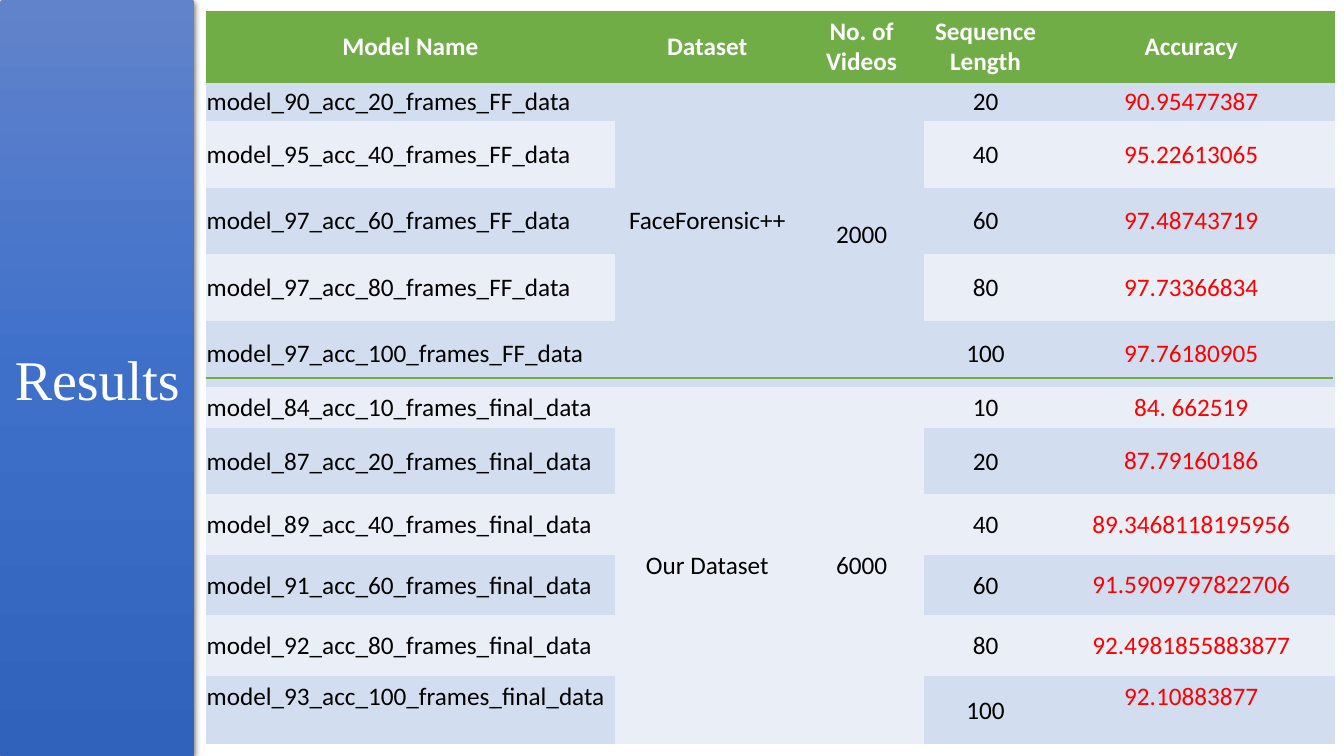
from dataclasses import dataclass

from lxml.etree import fromstring
from pptx import Presentation
from pptx.dml.color import RGBColor as Rgb
from pptx.enum.shapes import MSO_CONNECTOR as Connector, MSO_SHAPE as Shape
from pptx.enum.text import MSO_ANCHOR as Anchor, PP_ALIGN as Align
from pptx.oxml.ns import qn
from pptx.slide import Slide
from pptx.table import Table, _Cell as Cell
from pptx.text.text import TextFrame
from pptx.util import Inches, Pt

NAMESPACE = "http://schemas.openxmlformats.org/drawingml/2006/main"
PLAIN_TABLE_STYLE = "{2D5ABB26-0587-4C30-8999-92F81FD0307C}"


@dataclass(frozen=True)
class Theme:
    green: str = "70AD47"
    white: str = "FFFFFF"
    black: str = "000000"
    red: str = "FF0000"
    bands: tuple[str, str] = ("EAEFF7", "D2DEEF")
    banner: tuple[str, str, str] = ("6183CB", "3E70CA", "3062BB")
    table_font: str = "Calibri"
    title_font: str = "Times New Roman"
    table_size: int = 18
    title_size: int = 40


@dataclass(frozen=True)
class Model:
    score: int
    frames: int
    accuracy: str


@dataclass(frozen=True)
class Dataset:
    name: str
    suffix: str
    videos: str
    models: tuple[Model, ...]


THEME = Theme()
TIGHT = (0.01, 0.01, 0.01, 0)
ROOMY = (0.1, 0.05, 0.1, 0.05)
RAISED = (0.1, 0.05, 0.1, 0.32)
RAISED_TIGHT = (0.01, 0.01, 0.01, 0.28)
HEADERS = ("Model Name", "Dataset", "No. of Videos", "Sequence Length", "Accuracy")
COLUMN_WIDTHS = (4.06, 1.83, 1.23, 1.23, 2.85)
ROW_HEIGHTS = (0.68, 0.38, *[0.66] * 4, 0.39, 0.66, *[0.6] * 3, 0.68)
DATASETS = (
    Dataset("FaceForensic++", "FF_data", "2000", (
        Model(90, 20, "90.95477387"),
        Model(95, 40, "95.22613065"),
        Model(97, 60, "97.48743719"),
        Model(97, 80, "97.73366834"),
        Model(97, 100, "97.76180905"),
    )),
    Dataset("Our Dataset", "final_data", "6000", (
        Model(84, 10, "84. 662519"),
        Model(87, 20, "87.79160186"),
        Model(89, 40, "89.3468118195956"),
        Model(91, 60, "91.5909797822706"),
        Model(92, 80, "92.4981855883877"),
        Model(93, 100, "92.10883877"),
    )),
)


def write_text(frame: TextFrame, text: str, *, color: str, font: str = THEME.table_font,
               size: int = THEME.table_size, bold: bool = False,
               align: Align = Align.CENTER) -> None:
    """Write one formatted line into a text frame."""
    para = frame.paragraphs[0]
    para.alignment = align
    span = para.add_run()
    span.text = text
    span.font.name = font
    span.font.size = Pt(size)
    span.font.bold = bold
    span.font.color.rgb = Rgb.from_string(color)


def fill_cell(cell: Cell, text: str, *, color: str = THEME.black, bold: bool = False,
              align: Align = Align.CENTER,
              insets: tuple[float, ...] = ROOMY) -> None:
    """Place text in a table cell with its insets."""
    cell.vertical_anchor = Anchor.MIDDLE
    cell.margin_left, cell.margin_top, cell.margin_right, cell.margin_bottom = map(Inches, insets)
    write_text(cell.text_frame, text, color=color, bold=bold, align=align)


def fill_dataset(table: Table, dataset: Dataset, first: int, is_last: bool) -> None:
    """Fill the rows of one dataset and merge its shared cells."""
    last = first + len(dataset.models) - 1
    for row, model in enumerate(dataset.models, first):
        ends_table = is_last and row == last
        name = f"model_{model.score}_acc_{model.frames}_frames_{dataset.suffix}"
        accuracy_insets = RAISED if ends_table else ROOMY if is_last else TIGHT
        fill_cell(table.cell(row, 0), name, align=Align.LEFT,
                  insets=RAISED_TIGHT if ends_table else TIGHT)
        fill_cell(table.cell(row, 3), str(model.frames),
                  insets=ROOMY if is_last and row == first else TIGHT)
        fill_cell(table.cell(row, 4), model.accuracy, color=THEME.red, insets=accuracy_insets)
    for column, text in ((1, dataset.name), (2, dataset.videos)):
        table.cell(first, column).merge(table.cell(last, column))
        raised = column == 1 and not is_last
        fill_cell(table.cell(first, column), text, insets=RAISED if raised else ROOMY)


def add_results_table(page: Slide) -> None:
    """Add the table of model accuracies."""
    table = page.shapes.add_table(
        len(ROW_HEIGHTS), len(COLUMN_WIDTHS), Inches(2.04), Inches(0.11),
        Inches(sum(COLUMN_WIDTHS)), Inches(sum(ROW_HEIGHTS))).table
    table.horz_banding = False
    table._tbl.tblPr.find(qn("a:tableStyleId")).text = PLAIN_TABLE_STYLE
    for column, width in zip(table.columns, COLUMN_WIDTHS):
        column.width = Inches(width)
    for index, (row, height) in enumerate(zip(table.rows, ROW_HEIGHTS)):
        row.height = Inches(height)
        for cell in row.cells:
            cell.fill.solid()
            cell.fill.fore_color.rgb = Rgb.from_string(
                THEME.bands[index % 2] if index else THEME.green)
    for column, header in enumerate(HEADERS):
        fill_cell(table.cell(0, column), header, color=THEME.white, bold=True)
    first = 1
    for dataset in DATASETS:
        fill_dataset(table, dataset, first, dataset is DATASETS[-1])
        first += len(dataset.models)


def add_banner(page: Slide) -> None:
    """Add the shaded title banner on the left."""
    banner = page.shapes.add_shape(Shape.ROUNDED_RECTANGLE, 0, 0, Inches(1.93), Inches(7.5))
    banner.adjustments[0] = 0.014
    banner.line.fill.background()
    stops = "".join(f'<a:gs pos="{index * 50000}"><a:srgbClr val="{color}"/></a:gs>'
                    for index, color in enumerate(THEME.banner))
    gradient = fromstring(f'<a:gradFill xmlns:a="{NAMESPACE}"><a:gsLst>{stops}</a:gsLst>'
                          '<a:lin ang="5400000" scaled="0"/></a:gradFill>')
    shadow = fromstring(
        f'<a:effectLst xmlns:a="{NAMESPACE}"><a:outerShdw blurRad="{Pt(4.5)}" dist="{Pt(1.5)}" '
        f'dir="5400000" algn="ctr" rotWithShape="0"><a:srgbClr val="{THEME.black}">'
        '<a:alpha val="63000"/></a:srgbClr></a:outerShdw></a:effectLst>')
    properties = banner._element.spPr
    properties.find(qn("a:prstGeom")).addnext(gradient)
    properties.append(shadow)
    frame = banner.text_frame
    frame.word_wrap = True
    frame.vertical_anchor = Anchor.MIDDLE
    write_text(frame, "Results", color=THEME.white, font=THEME.title_font, size=THEME.title_size)


def add_divider(page: Slide) -> None:
    """Add the green line between the two datasets."""
    divider = page.shapes.add_connector(
        Connector.STRAIGHT, Inches(2.04), Inches(3.75), Inches(13.22), Inches(3.75))
    divider.line.color.rgb = Rgb.from_string(THEME.green)
    divider.line.width = Pt(1.5)
    divider._element.spPr.append(fromstring(f'<a:effectLst xmlns:a="{NAMESPACE}"/>'))


def main() -> None:
    """Build the results slide and save it."""
    deck = Presentation()
    deck.slide_width, deck.slide_height = Inches(13.33), Inches(7.5)
    page = deck.slides.add_slide(deck.slide_layouts[6])
    add_results_table(page)
    add_banner(page)
    add_divider(page)
    deck.save("out.pptx")


if __name__ == "__main__":
    main()
